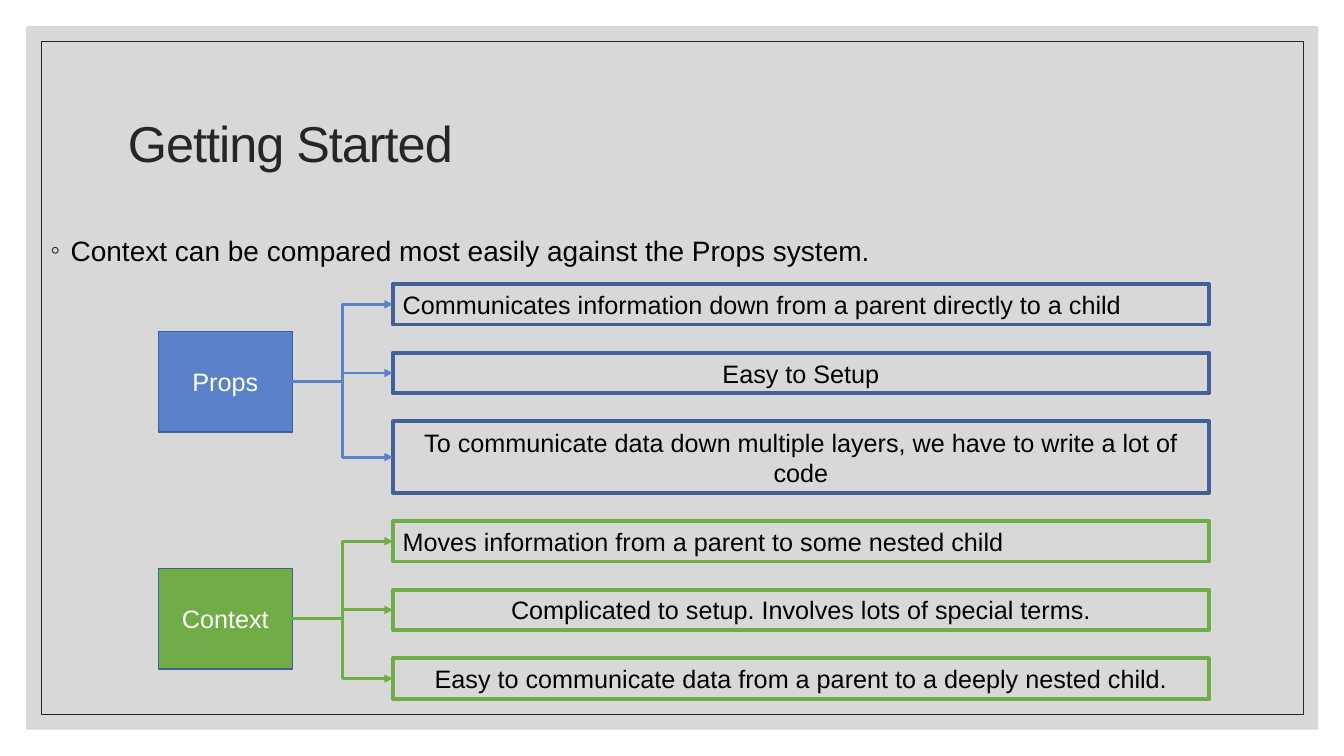
"""Build the Getting Started slide comparing Props with Context."""
from dataclasses import dataclass

from lxml import etree
from pptx import Presentation
from pptx.dml.color import RGBColor
from pptx.enum import shapes, text
from pptx.oxml import ns
from pptx.util import Cm, Pt

TITLE = "Getting Started"
INTRO = "Context can be compared most easily against the Props system."
GROUPS = [
    {"name": "Props", "fill": "5A82CB", "border": "436096", "points": [
        ("Communicates information down from a parent directly to a child", 1),
        ("Easy to Setup", 1),
        ("To communicate data down multiple layers, we have to write a lot of code", 2),
    ]},
    {"name": "Context", "fill": "70AD47", "border": "70AD47", "points": [
        ("Moves information from a parent to some nested child", 1),
        ("Complicated to setup. Involves lots of special terms.", 1),
        ("Easy to communicate data from a parent to a deeply nested child.", 1),
    ]},
]


@dataclass(frozen=True)
class Theme:
    """Colours, font and type sizes of the slide."""
    font: str = "Arial"
    ink: str = "262626"
    body: str = "000000"
    light: str = "FFFFFF"
    panel: str = "BFBFBF"
    key_border: str = "436096"
    title_size: int = 36
    intro_size: int = 20
    label_size: int = 18


THEME = Theme()
POINT_TOP, POINT_GAP = 7.16, 0.71
POINT_HEIGHTS = {1: 1.02, 2: 1.8}
KEY_DROP = 1.19
LEFT, CENTER = text.PP_ALIGN.LEFT, text.PP_ALIGN.CENTER


def add_child(parent, tag, **attributes):
    """Append a drawing element to an XML parent."""
    return etree.SubElement(parent, ns.qn(tag), attributes)


def write(shape, content, size, color, align):
    """Put one formatted paragraph in a shape and return it."""
    frame = shape.text_frame
    frame.text = content
    frame.word_wrap = True
    frame.auto_size = text.MSO_AUTO_SIZE.NONE
    para = frame.paragraphs[0]
    para.alignment = align
    span = para.runs[0]
    span.font.name = THEME.font
    span.font.size = Pt(size)
    span.font.color.rgb = RGBColor.from_string(color)
    return para


def add_box(page, place, fill=None, border=None, width=1):
    """Add a flat rectangle placed in centimetres."""
    box = page.shapes.add_shape(shapes.MSO_SHAPE.RECTANGLE, *map(Cm, place))
    box.shadow.inherit = False
    if fill:
        box.fill.solid()
        box.fill.fore_color.rgb = RGBColor.from_string(fill)
    else:
        box.fill.background()
    if border:
        box.line.color.rgb = RGBColor.from_string(border)
        box.line.width = Pt(width)
    else:
        box.line.fill.background()
    return box


def add_arrow(page, source, target, color):
    """Join two boxes with an elbow arrow."""
    arrow = page.shapes.add_connector(shapes.MSO_CONNECTOR.ELBOW, 0, 0, 0, 0)
    arrow.begin_connect(source, 3)
    arrow.end_connect(target, 1)
    arrow.line.color.rgb = RGBColor.from_string(color)
    arrow.line.width = Pt(2)
    add_child(arrow.line._get_or_add_ln(), "a:tailEnd", type="triangle")
    add_child(arrow.element.spPr, "a:effectLst")


def add_frame(page):
    """Add the translucent panel and its thin inner outline."""
    panel = add_box(page, (0.66, 0.66, 32.56, 17.73), THEME.panel)
    tint = panel.element.spPr.find(".//" + ns.qn("a:srgbClr"))
    add_child(tint, "a:alpha", val="60000")
    add_box(page, (1.04, 1.04, 31.8, 16.97), border=THEME.ink, width=0.5)


def add_title(page):
    """Place the title in front of the panel."""
    title = page.shapes.title
    title.element.getparent().append(title.element)
    title.left, title.top, title.width, title.height = map(Cm, (2.97, 1.78, 27.94, 3.81))
    para = write(title, TITLE, THEME.title_size, THEME.ink, LEFT)
    title.text_frame.vertical_anchor = text.MSO_ANCHOR.MIDDLE
    para.line_spacing = 0.9
    para.runs[0].font._element.set("spc", "-70")


def add_intro(page):
    """Add the bulleted opening sentence."""
    box = page.shapes.add_textbox(*map(Cm, (1.02, 5.59, 30.12, 1.3)))
    para = write(box, INTRO, THEME.intro_size, THEME.body, LEFT)
    para.line_spacing = 1.2
    properties = para._p.get_or_add_pPr()
    properties.set("marL", str(Cm(0.51)))
    properties.set("indent", str(Cm(-0.51)))
    add_child(add_child(properties, "a:buClr"), "a:srgbClr", val=THEME.ink)
    add_child(properties, "a:buFont", typeface=THEME.font)
    add_child(properties, "a:buChar", char="◦")


def add_group(page, group, top):
    """Add a key box with its points and return the next free top."""
    key = add_box(page, (3.99, top + KEY_DROP, 3.38, 2.54), group["fill"], THEME.key_border)
    write(key, group["name"], THEME.label_size, THEME.light, CENTER)
    for index, (content, lines) in enumerate(group["points"]):
        height = POINT_HEIGHTS[lines]
        point = add_box(page, (9.9, top, 20.57, height), border=group["border"], width=2.75)
        write(point, content, THEME.label_size, THEME.body, CENTER if index else LEFT)
        add_arrow(page, key, point, group["fill"])
        top += height + POINT_GAP
    return top


def main():
    """Build and save the deck."""
    deck = Presentation()
    deck.slide_width, deck.slide_height = Cm(33.87), Cm(19.05)
    page = deck.slides.add_slide(deck.slide_layouts[5])
    add_frame(page)
    add_title(page)
    add_intro(page)
    top = POINT_TOP
    for group in GROUPS:
        top = add_group(page, group, top)
    deck.save("out.pptx")


if __name__ == "__main__":
    main()
